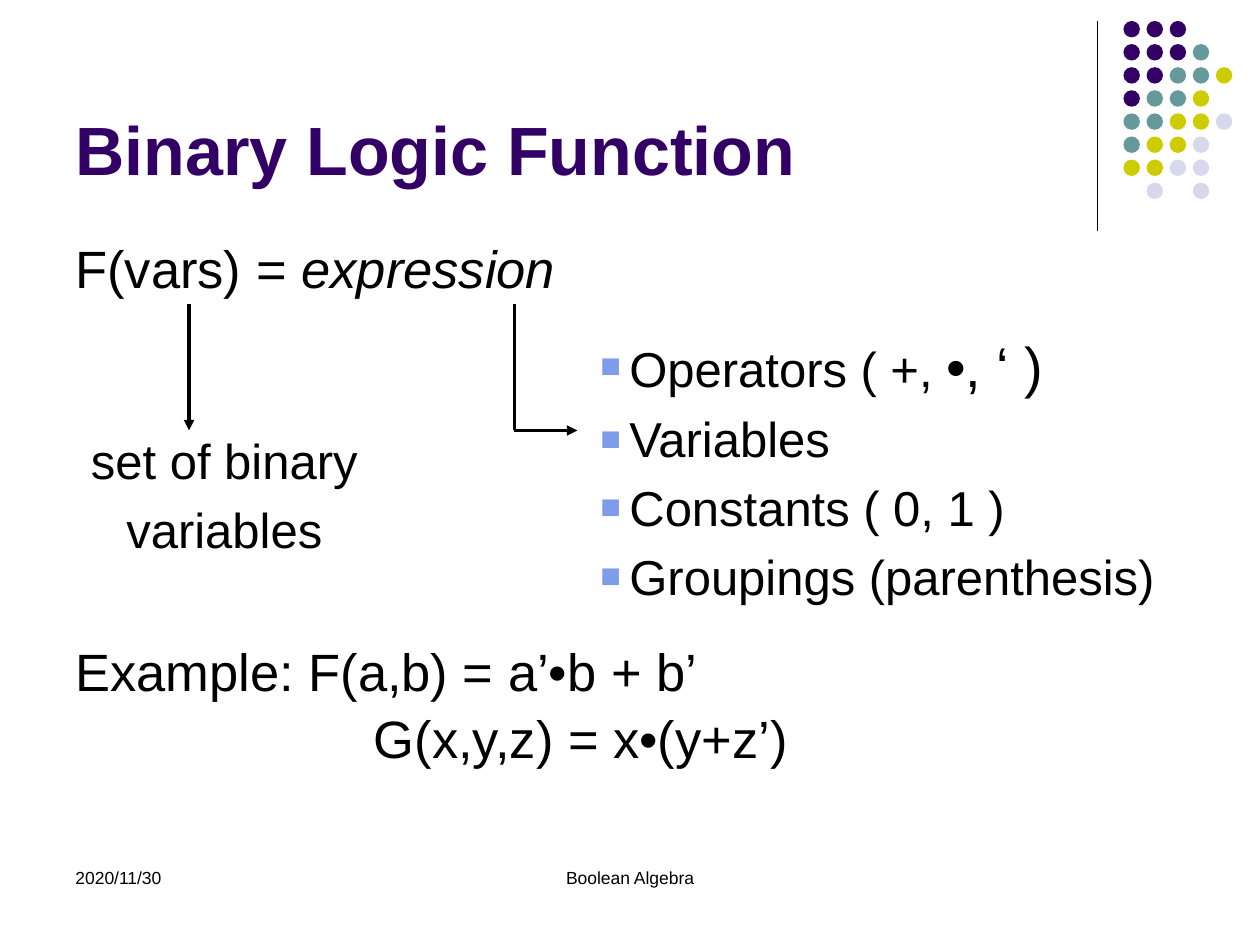
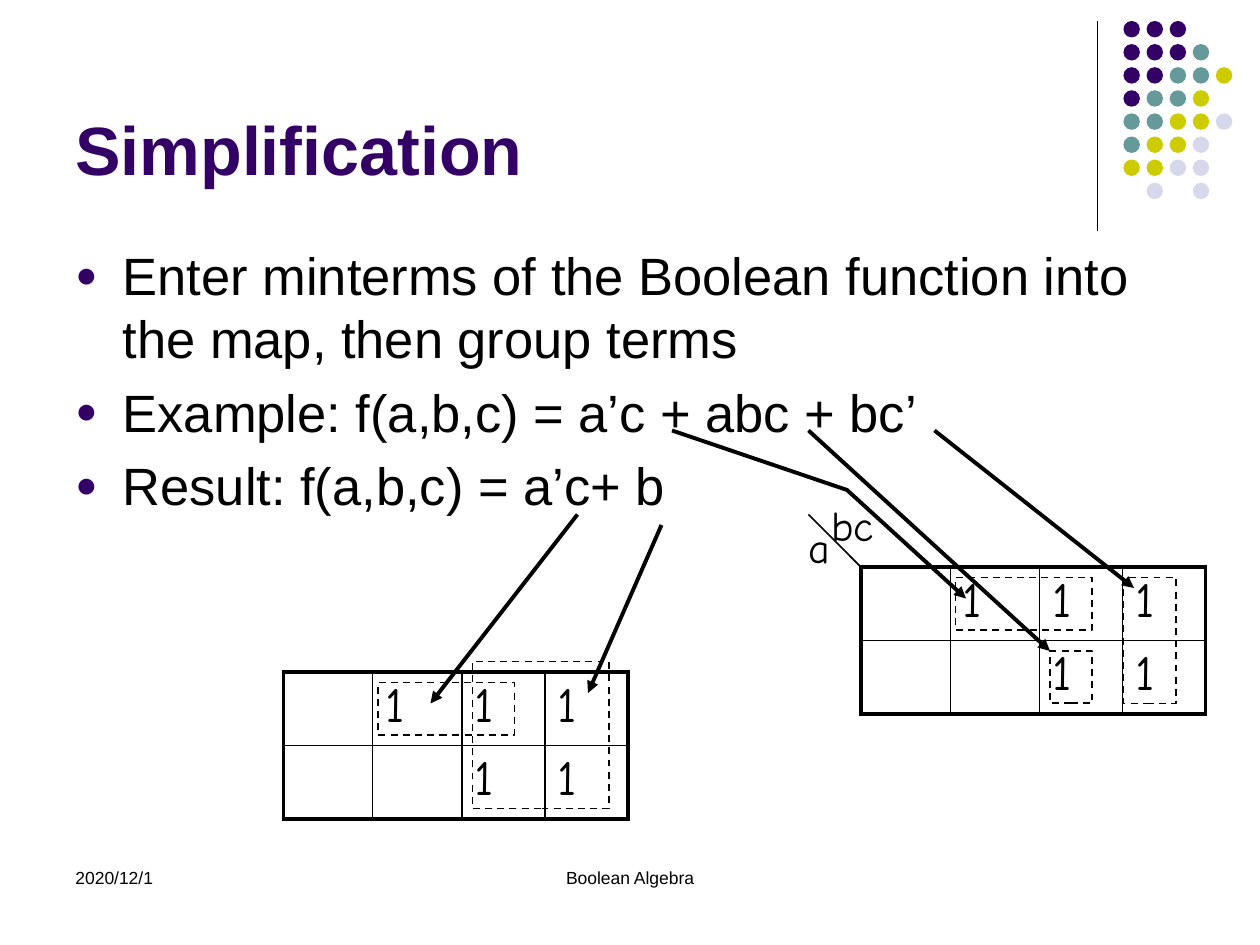
from dataclasses import dataclass
from lxml.etree import SubElement
from pptx import Presentation
from pptx.dml.color import RGBColor
from pptx.enum.dml import MSO_LINE
from pptx.enum.shapes import MSO_CONNECTOR, MSO_SHAPE
from pptx.enum.text import MSO_ANCHOR, PP_ALIGN
from pptx.oxml.ns import qn
from pptx.util import Pt


@dataclass(frozen=True)
class Theme:
    """Colours, fonts and type sizes of the deck."""
    ink: str = "000000"
    purple: str = "330066"
    teal: str = "669999"
    olive: str = "CCCC00"
    lilac: str = "D8D8EC"
    blue: str = "7E9CE8"
    font: str = "Arial"
    hand: str = "Comic Neue"
    title: float = 39
    body: float = 30
    note: float = 28
    symbol: float = 32
    axis: float = 24
    footer: float = 10


T = Theme()

# Content: a paragraph is a string or a list of (text, font changes)
FOOTER = "Boolean Algebra"
DOTS = ["PPP", "PPPT", "PPTTO", "PTTO", "TTOOL", "TOOL", "OOLL", " L L"]
DOT_COLOURS = {"P": T.purple, "T": T.teal, "O": T.olive, "L": T.lilac}

FUNCTION = [[("F(vars) = ", {}), ("expression", {"italic": True})]]
VARIABLES = ["set of binary", "variables"]
PARTS = [[("Operators ( +, ", {}), ("•, ‘ )", {"size": Pt(T.symbol)})],
         "Variables", "Constants ( 0, 1 )", "Groupings (parenthesis)"]
EXAMPLES = ["Example: F(a,b) = a’•b + b’", "G(x,y,z) = x•(y+z’)"]
STEPS = ["Enter minterms of the Boolean function into the map, then group terms",
         "Example: f(a,b,c) = a’c + abc + bc’",
         "Result: f(a,b,c) = a’c+ b"]

MAP_ROWS = [["", "1", "1", "1"], ["", "", "1", "1"]]
MAP_COLS, MAP_ROW = [51, 51, 47.5, 47.5], 42
TERM_MAP = {
    "at": (492, 324),
    "groups": [(546, 330, 78, 30), (600, 372, 24, 30), (642, 330, 30, 72)],
    "arrows": [[(534, 246), (648, 336)], [(462, 246), (600, 372)],
               [(384, 246), (484, 280), (552, 342)]],
}
RESULT_MAP = {
    "at": (162, 384),
    "groups": [(216, 390, 78, 30), (270, 378, 78, 84)],
    "arrows": [[(330, 294), (246, 402)], [(378, 300), (336, 396)]],
}


def rgb(colour):
    """Turn a hex string into a colour."""
    return RGBColor.from_string(colour)


def indent(p, left, first):
    """Set the left margin and the first line indent of a paragraph."""
    pPr = p._p.get_or_add_pPr()
    pPr.set("marL", str(Pt(left)))
    pPr.set("indent", str(Pt(first)))


def bullet(p, char, colour):
    """Give a paragraph a coloured bullet at 70 % of the text size."""
    pPr = p._p.get_or_add_pPr()
    SubElement(SubElement(pPr, qn("a:buClr")), qn("a:srgbClr"), val=colour)
    SubElement(pPr, qn("a:buSzPct"), val="70000")
    SubElement(pPr, qn("a:buFont"), typeface=T.font)
    SubElement(pPr, qn("a:buChar"), char=char)


def style(r, size, colour=T.ink, font=T.font, bold=False):
    """Format one run."""
    r.font.size, r.font.name, r.font.bold = Pt(size), font, bold
    r.font.color.rgb = rgb(colour)


def text(s, box, paragraphs, size, colour=T.ink, font=T.font, bold=False,
         align=PP_ALIGN.LEFT, anchor=MSO_ANCHOR.TOP, wrap=True,
         spacing=None, mark=None, hang=0):
    """Add a text box and return its paragraphs."""
    tf = s.shapes.add_textbox(*map(Pt, box)).text_frame
    tf.word_wrap, tf.vertical_anchor = wrap, anchor
    for i, content in enumerate(paragraphs):
        p = tf.paragraphs[0] if i == 0 else tf.add_paragraph()
        p.alignment = align
        if spacing:
            p.line_spacing = spacing
        if i:
            p.space_before = Pt(size * 0.2)
        if mark:
            indent(p, hang, -hang)
            bullet(p, *mark)
        runs = [(content, {})] if isinstance(content, str) else content
        for words, changes in runs:
            r = p.add_run()
            r.text = words
            style(r, size, colour, font, bold)
            for name, value in changes.items():
                setattr(r.font, name, value)
    return tf.paragraphs


def line(s, points, width, arrow=False):
    """Draw a straight line, or an open bent one for more than two points."""
    if len(points) == 2:
        (x1, y1), (x2, y2) = points
        sp = s.shapes.add_connector(MSO_CONNECTOR.STRAIGHT,
                                    Pt(x1), Pt(y1), Pt(x2), Pt(y2))
        SubElement(sp._element.spPr, qn("a:effectLst"))
    else:
        path = s.shapes.build_freeform(*points[0], scale=Pt(1))
        path.add_line_segments(points[1:], close=False)
        sp = path.convert_to_shape()
        sp.fill.background()
        sp.shadow.inherit = False
    sp.line.color.rgb, sp.line.width = rgb(T.ink), Pt(width)
    if arrow:
        SubElement(sp.line._get_or_add_ln(), qn("a:tailEnd"), type="triangle")


def add_slide(prs, title, date):
    """Add a slide with the shared dots, rule, title and footer."""
    s = prs.slides.add_slide(prs.slide_layouts[6])
    line(s, [(627, 12), (627, 132)], 0.75)
    dots, pitch, size = s.shapes.add_group_shape(), 13.2, 9.4
    for row, codes in enumerate(DOTS):
        for col, code in enumerate(codes):
            if code in DOT_COLOURS:
                sp = dots.shapes.add_shape(
                    MSO_SHAPE.OVAL, Pt(642 + col * pitch), Pt(12 + row * pitch),
                    Pt(size), Pt(size))
                sp.shadow.inherit = False
                sp.fill.solid()
                sp.fill.fore_color.rgb = rgb(DOT_COLOURS[code])
                sp.line.fill.background()
    text(s, (36, 9.4, 594, 102), [title], T.title, T.purple, bold=True,
         anchor=MSO_ANCHOR.BOTTOM)
    text(s, (36, 492, 168, 36), [date], T.footer)
    text(s, (246, 492, 228, 36), [FOOTER], T.footer, align=PP_ALIGN.CENTER)
    return s


def border(cell, widths):
    """Draw the left, right, top and bottom borders of a cell."""
    tcPr = cell._tc.get_or_add_tcPr()
    for side, width in zip("LRTB", widths):
        ln = SubElement(tcPr, qn(f"a:ln{side}"), w=str(Pt(width)))
        SubElement(SubElement(ln, qn("a:solidFill")), qn("a:srgbClr"), val=T.ink)


def karnaugh_table(s, x, y):
    """Add the map grid with a thick frame and thin inner lines."""
    n_rows, n_cols = len(MAP_ROWS), len(MAP_COLS)
    frame = s.shapes.add_table(n_rows, n_cols, Pt(x), Pt(y),
                               Pt(sum(MAP_COLS)), Pt(MAP_ROW * n_rows))
    table = frame.table
    table.first_row = table.horz_banding = False
    for col, width in zip(table.columns, MAP_COLS):
        col.width = Pt(width)
    for i, values in enumerate(MAP_ROWS):
        table.rows[i].height = Pt(MAP_ROW)
        for j, value in enumerate(values):
            cell = table.cell(i, j)
            edges = (j == 0, j == n_cols - 1, i == 0, i == n_rows - 1)
            border(cell, [2.25 if edge else 1 for edge in edges])
            cell.fill.background()
            cell.text_frame.text = value
            for r in cell.text_frame.paragraphs[0].runs:
                style(r, T.note, font=T.hand)


def karnaugh_map(s, at, groups, arrows):
    """Add a map with its dashed groups and the arrows into it."""
    karnaugh_table(s, *at)
    for box in groups:
        sp = s.shapes.add_shape(MSO_SHAPE.RECTANGLE, *map(Pt, box))
        sp.shadow.inherit = False
        sp.fill.background()
        sp.line.color.rgb, sp.line.width = rgb(T.ink), Pt(1)
        sp.line.dash_style = MSO_LINE.DASH
    for points in arrows:
        line(s, points, 2.25, arrow=True)


def logic_slide(prs):
    """Build the slide that explains a binary logic function."""
    s = add_slide(prs, "Binary Logic Function", "2020/11/30")
    text(s, (36, 135.4, 648, 42), FUNCTION, T.body, spacing=0.9)
    examples = text(s, (36, 365.7, 648, 84), EXAMPLES, T.body, spacing=0.9)
    indent(examples[1], 170.6, 0)
    line(s, [(108, 174), (108, 246)], 2, arrow=True)
    text(s, (36, 242.6, 184.3, 81.4), VARIABLES, T.note, align=PP_ALIGN.CENTER)
    line(s, [(294, 174), (294, 246)], 2)
    line(s, [(294, 246), (330, 246)], 2, arrow=True)
    text(s, (336, 186, 370, 207), PARTS, T.note, mark=("■", T.blue), hang=16.6)


def simplification_slide(prs):
    """Build the slide that groups terms on Karnaugh maps."""
    s = add_slide(prs, "Simplification", "2020/12/1")
    text(s, (36, 135.4, 648, 347), STEPS, T.body, mark=("●", T.purple), hang=27)
    karnaugh_map(s, **TERM_MAP)
    text(s, (455, 294.5, 26.6, 36), ["a"], T.axis, font=T.hand, wrap=False)
    text(s, (468, 282.2, 41, 36), ["bc"], T.axis, font=T.hand, wrap=False)
    line(s, [(492, 324), (462, 294)], 1)
    karnaugh_map(s, **RESULT_MAP)


prs = Presentation()
prs.slide_width, prs.slide_height = Pt(720), Pt(540)
logic_slide(prs)
simplification_slide(prs)
prs.save("out.pptx")
